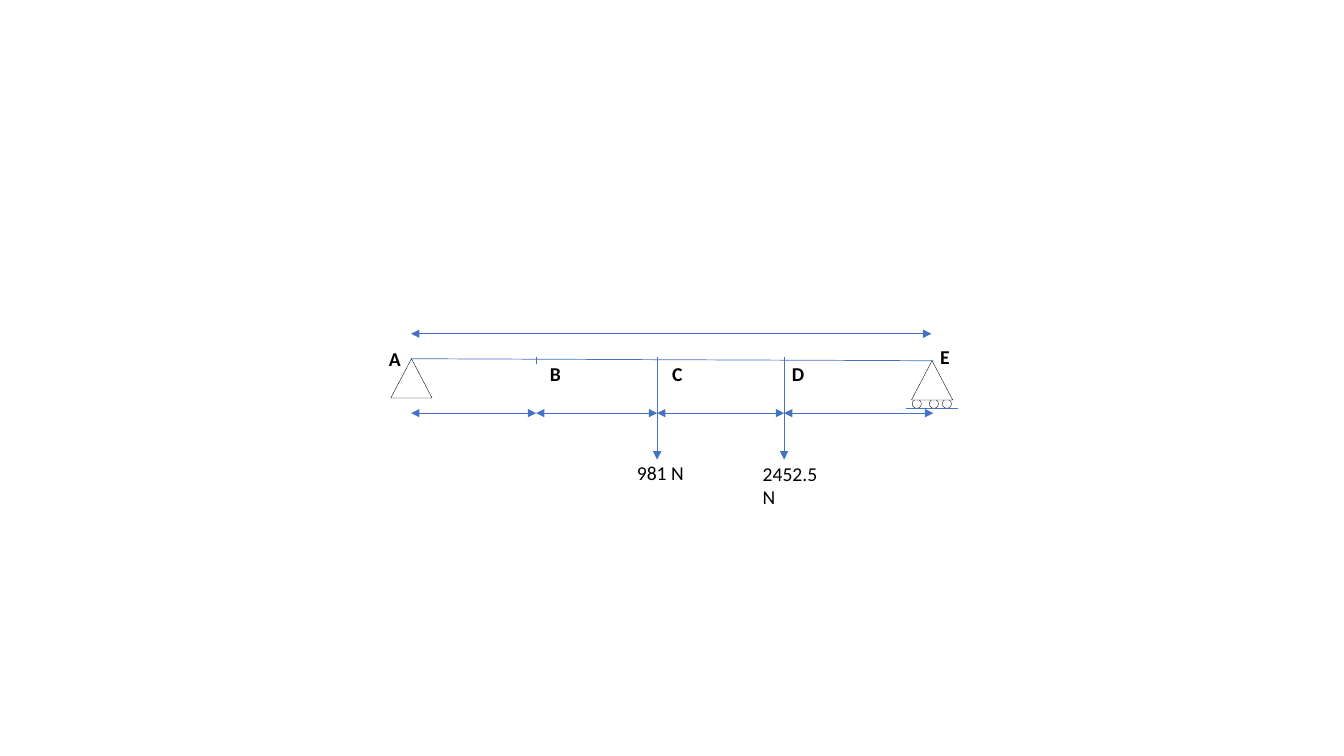
from dataclasses import dataclass
from itertools import pairwise

from lxml import etree
from pptx import Presentation
from pptx.dml.color import RGBColor
from pptx.enum import shapes, text
from pptx.oxml import ns
from pptx.util import Cm, Pt


@dataclass(frozen=True)
class Theme:
    blue: RGBColor = RGBColor(0x44, 0x72, 0xC4)
    black: RGBColor = RGBColor(0, 0, 0)
    white: RGBColor = RGBColor(255, 255, 255)
    font: str = "Calibri"
    size: float = 14
    thin: float = 0.25
    line: float = 0.5


class Sketch:
    def __init__(self, slide, theme):
        self.slide = slide
        self.theme = theme

    def label(self, words, x, y, width, bold=False):
        box = self.slide.shapes.add_textbox(Cm(x), Cm(y), Cm(width), Cm(0.86))
        frame = box.text_frame
        frame.word_wrap = True
        frame.auto_size = text.MSO_AUTO_SIZE.SHAPE_TO_FIT_TEXT
        para = frame.paragraphs[0]
        para.text = words
        font = para.font
        font.name = self.theme.font
        font.size = Pt(self.theme.size)
        font.bold = bold
        font.color.rgb = self.theme.black

    def shape(self, kind, x, y, width, height):
        item = self.slide.shapes.add_shape(kind, Cm(x), Cm(y), Cm(width), Cm(height))
        item.shadow.inherit = False
        item.fill.solid()
        item.fill.fore_color.rgb = self.theme.white
        item.line.color.rgb = self.theme.black
        item.line.width = Pt(self.theme.thin)

    def line(self, x1, y1, x2, y2, ends=()):
        item = self.slide.shapes.add_connector(
            shapes.MSO_CONNECTOR.STRAIGHT, Cm(x1), Cm(y1), Cm(x2), Cm(y2))
        item.line.color.rgb = self.theme.blue
        item.line.width = Pt(self.theme.line)
        for end in ends:
            etree.SubElement(item.line._ln, ns.qn(f"a:{end}"), type="triangle")
        etree.SubElement(item._element.spPr, ns.qn("a:effectLst"))


def main():
    deck = Presentation()
    deck.slide_width, deck.slide_height = Cm(33.87), Cm(19.05)
    sketch = Sketch(deck.slides.add_slide(deck.slide_layouts[6]), Theme())
    both = ("headEnd", "tailEnd")
    a, b, c, d, e = points = (10.36, 13.51, 16.56, 19.76, 23.52)
    left, right = 9.04, 9.09

    for x in (22.99, 23.42, 23.75):
        sketch.shape(shapes.MSO_SHAPE.OVAL, x, 10.06, 0.23, 0.23)
    sketch.line(22.83, 10.29, 24.13, 10.29)

    for name, x, y in (("A", 9.55, 8.61), ("B", 13.61, 8.99), ("C", 16.69, 8.99),
                       ("D", 19.71, 8.99), ("E", 23.44, 8.56)):
        sketch.label(name, x, y, 0.99, bold=True)

    sketch.line(a, left, e, right)
    for x, y in ((9.85, left), (22.97, right)):
        sketch.shape(shapes.MSO_SHAPE.ISOSCELES_TRIANGLE, x, y, 1.04, 0.99)
    for x in (b, c, d):
        sketch.line(x, 8.99, x, 9.17)

    sketch.line(a, 8.41, 23.47, 8.41, both)
    for start, stop in pairwise(points):
        sketch.line(start, 10.41, stop, 10.41, both)

    for force, x, top, edge, y in (("981 N", c, left, 15.8, 11.48),
                                   ("2452.5 N", d, right, 18.97, 11.51)):
        sketch.line(x, top, x, 11.58, ("tailEnd",))
        sketch.label(force, edge, y, 2.31)

    deck.save("out.pptx")


if __name__ == "__main__":
    main()
